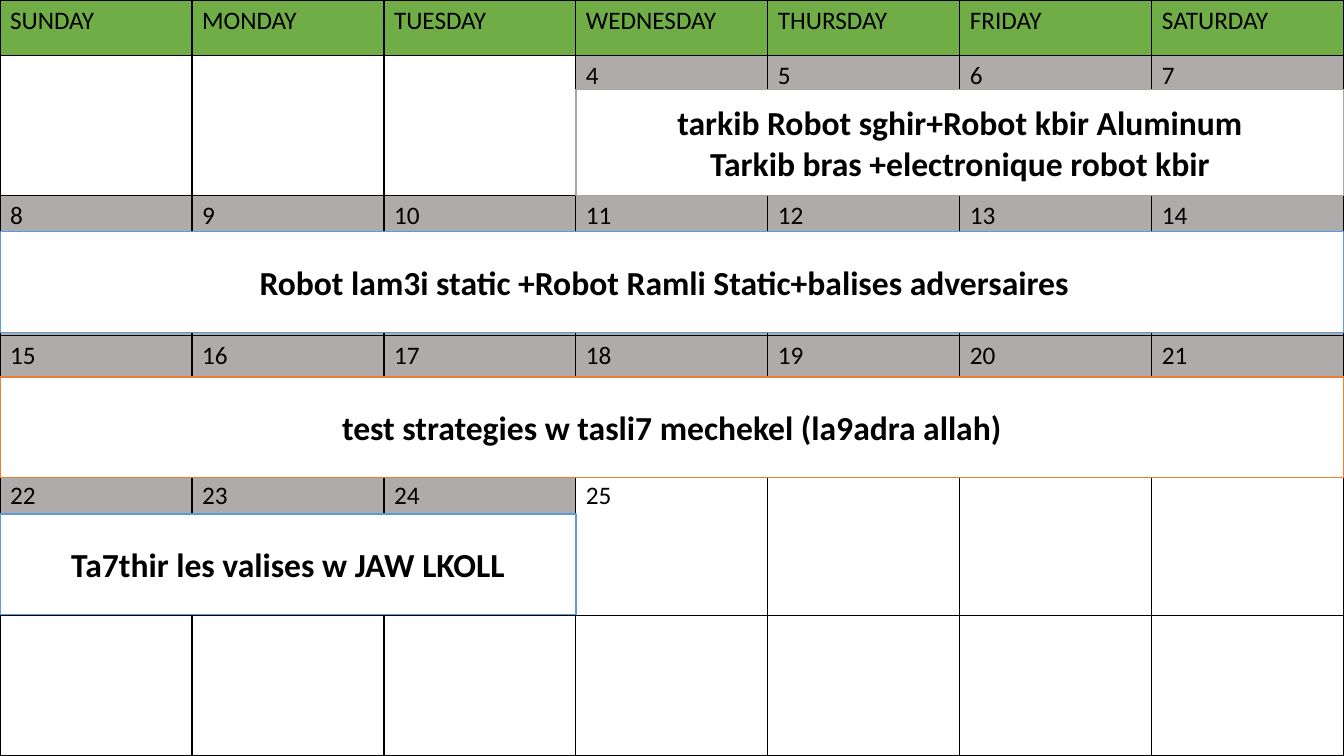
from lxml import etree
from pptx import Presentation
from pptx import util as u
from pptx.dml.color import RGBColor
from pptx.enum import shapes, text
from pptx.oxml import ns

BLACK = RGBColor(0x00, 0x00, 0x00)
WHITE = RGBColor(0xFF, 0xFF, 0xFF)
GREEN = RGBColor(0x70, 0xAD, 0x47)
GREY = RGBColor(0xAF, 0xAB, 0xAB)
SILVER = RGBColor(0xA5, 0xA5, 0xA5)
BLUE = RGBColor(0x5B, 0x9B, 0xD5)
ORANGE = RGBColor(0xED, 0x7D, 0x31)
FONT = "Calibri"

WEEKDAYS = ["SUNDAY", "MONDAY", "TUESDAY", "WEDNESDAY", "THURSDAY", "FRIDAY", "SATURDAY"]
WEEKS = 5
FIRST_DAY, LAST_BUSY_DAY, LAST_DAY = 4, 24, 25

# week, first column, columns, drop below the week's top, height, right inset, outline, lines
EVENTS = [
    (0, 3, 4, 0.34, 1.05, 0.1, SILVER,
     ["tarkib Robot sghir+Robot kbir Aluminum", "Tarkib bras +electronique robot kbir"]),
    (1, 0, 7, 0.36, 1, 0.25, BLUE,
     ["Robot lam3i static +Robot Ramli Static+balises adversaires"]),
    (2, 0, 7, 0.41, 1, 0.1, ORANGE,
     ["test strategies w tasli7 mechekel (la9adra allah)"]),
    (3, 0, 3, 0.38, 1, 0.1, BLUE,
     ["Ta7thir les valises w JAW LKOLL"]),
]

WIDTH, HEIGHT = 13.33, 7.5
COLUMN = WIDTH / len(WEEKDAYS)
HEADER = 0.55
WEEK = 1.39


def add_run(paragraph, words, size, bold=False):
    """Add one black run to a paragraph."""
    run = paragraph.add_run()
    run.text = words
    run.font.name = FONT
    run.font.size = u.Pt(size)
    run.font.bold = bold
    run.font.color.rgb = BLACK


def add_borders(cell):
    """Draw a black 1 pt line on the four sides of a cell."""
    properties = cell._tc.get_or_add_tcPr()
    for position, side in enumerate(("a:lnL", "a:lnR", "a:lnT", "a:lnB")):
        line = etree.Element(ns.qn(side), w=str(u.Pt(1)))
        fill = etree.SubElement(line, ns.qn("a:solidFill"))
        etree.SubElement(fill, ns.qn("a:srgbClr"), val=str(BLACK))
        properties.insert(position, line)


def fill_cell(cell, words, color):
    """Set the fill, borders and text of a cell."""
    if color is None:
        cell.fill.background()
    else:
        cell.fill.solid()
        cell.fill.fore_color.rgb = color
    add_borders(cell)
    if words:
        add_run(cell.text_frame.paragraphs[0], words, 18)


def add_calendar(slide):
    """Add the month grid with its weekday header."""
    table = slide.shapes.add_table(
        WEEKS + 1, len(WEEKDAYS), 0, 0,
        u.Inches(WIDTH), u.Inches(HEADER + WEEKS * WEEK)).table
    table.first_row = table.horz_banding = False
    for row_index, row in enumerate(table.rows):
        row.height = u.Inches(WEEK if row_index else HEADER)
    for column_index, weekday in enumerate(WEEKDAYS):
        table.columns[column_index].width = u.Inches(COLUMN)
        fill_cell(table.cell(0, column_index), weekday, GREEN)
        for week in range(WEEKS):
            day = week * len(WEEKDAYS) + column_index + 1
            words = str(day) if FIRST_DAY <= day <= LAST_DAY else ""
            color = GREY if FIRST_DAY <= day <= LAST_BUSY_DAY else None
            fill_cell(table.cell(week + 1, column_index), words, color)


def add_event(slide, week, first, span, drop, height, inset, outline, lines):
    """Add an event bar over the days it spans."""
    top = HEADER + week * WEEK + drop
    shape = slide.shapes.add_shape(
        shapes.MSO_SHAPE.RECTANGLE, u.Inches(first * COLUMN), u.Inches(top),
        u.Inches(span * COLUMN), u.Inches(height))
    shape.shadow.inherit = False
    shape.fill.solid()
    shape.fill.fore_color.rgb = WHITE
    shape.line.color.rgb = outline
    shape.line.width = u.Pt(1)
    frame = shape.text_frame
    frame.word_wrap = True
    frame.margin_right = u.Inches(inset)
    frame.vertical_anchor = text.MSO_ANCHOR.MIDDLE
    for index, line in enumerate(lines):
        paragraph = frame.add_paragraph() if index else frame.paragraphs[0]
        paragraph.alignment = text.PP_ALIGN.CENTER
        add_run(paragraph, line, 24, bold=True)


presentation = Presentation()
presentation.slide_width = u.Inches(WIDTH)
presentation.slide_height = u.Inches(HEIGHT)
slide = presentation.slides.add_slide(presentation.slide_layouts[6])
add_calendar(slide)
for event in EVENTS:
    add_event(slide, *event)
presentation.save("out.pptx")
